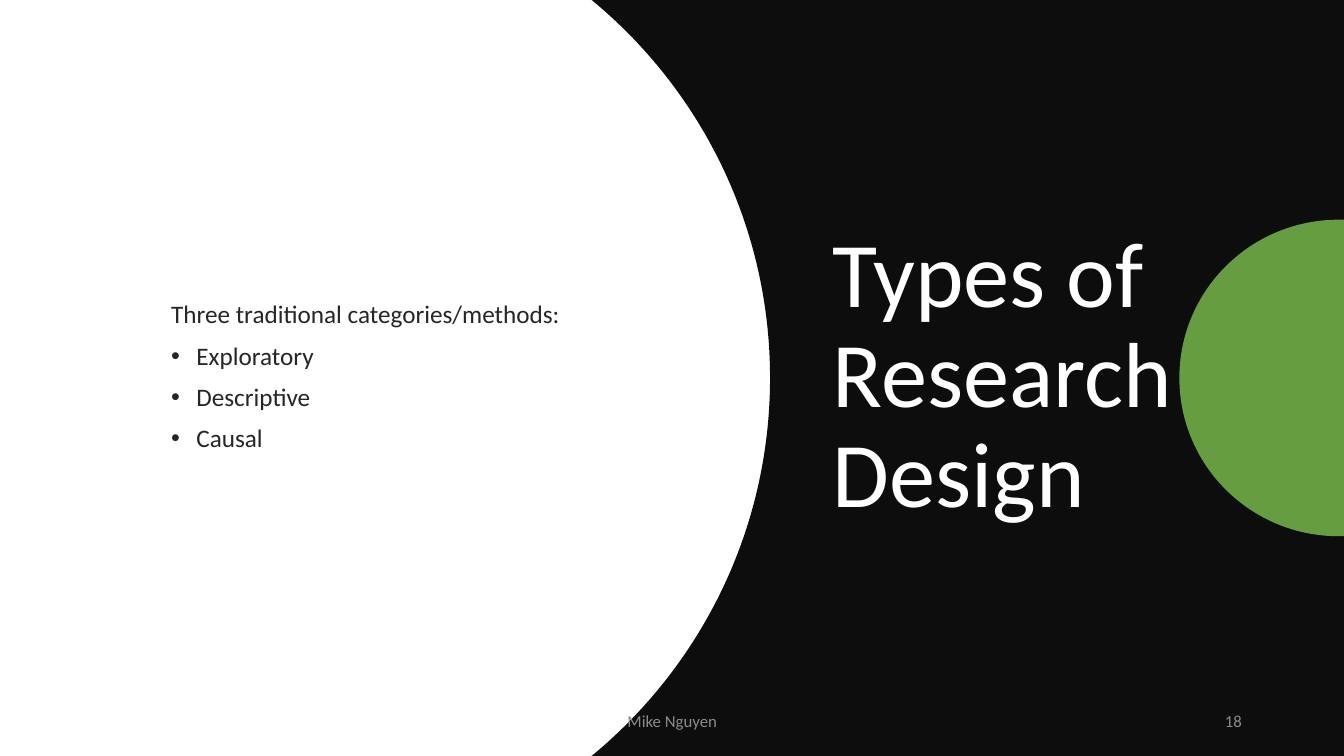
from dataclasses import dataclass

from lxml import etree
from pptx import Presentation
from pptx import util as u
from pptx.dml.color import RGBColor
from pptx.enum import text
from pptx.oxml.ns import qn

WHITE = RGBColor(0xFF, 0xFF, 0xFF)
BLACK = RGBColor(0x0D, 0x0D, 0x0D)
GREEN = RGBColor(0x70, 0xAD, 0x47)
DARK = RGBColor(0x26, 0x26, 0x26)
GREY = RGBColor(0x8C, 0x8C, 0x8C)
FONT = "Calibri"
W, H = 40 / 3, 7.5

Point = tuple[float, float]
Curve = tuple[Point, Point, Point]


@dataclass(frozen=True)
class Panel:
    corners: tuple[Point, ...]
    curves: tuple[Curve, ...]
    color: RGBColor
    opacity: int = 100


@dataclass(frozen=True)
class Line:
    text: str
    bullet: bool = False


@dataclass(frozen=True)
class Block:
    box: tuple[float, float, float, float]
    lines: tuple[Line, ...]
    size: int
    color: RGBColor
    align: text.PP_ALIGN = text.PP_ALIGN.LEFT
    spacing: float = 1.0
    before: int = 0


PANELS = (
    Panel(
        ((5.86, 0), (W, 0), (W, H), (5.86, H), (5.87, H)),
        (((6.95, 6.61), (7.64, 5.26), (7.64, 3.75)),
         ((7.64, 2.24), (6.95, 0.89), (5.87, 0))),
        BLACK,
    ),
    Panel(
        ((13.28, 2.18), (W, 2.18), (W, 5.32), (13.28, 5.32)),
        (((12.41, 5.32), (11.7, 4.62), (11.7, 3.75)),
         ((11.7, 2.88), (12.41, 2.18), (13.28, 2.18))),
        GREEN,
        90,
    ),
)
TITLE = Block((8.16, 1.19, 3.68, 5.11), (Line("Types of Research Design"),),
              66, WHITE, spacing=0.9)
METHODS = ("Exploratory", "Descriptive", "Causal")
BLOCKS = (
    Block((1.6, 1.64, 4.77, 4.21),
          (Line("Three traditional categories/methods:"),
           *(Line(method, True) for method in METHODS)),
          18, DARK, spacing=0.9, before=10),
    Block((4.42, 6.95, 4.5, 0.4), (Line("Mike Nguyen"),), 12, GREY,
          text.PP_ALIGN.CENTER),
    Block((9.42, 6.95, 3, 0.4), (Line("18"),), 12, GREY, text.PP_ALIGN.RIGHT),
)


def bend_edges(sp, curves: tuple[Curve, ...]) -> None:
    edges = list(sp.element.spPr.iter(qn("a:lnTo")))[-len(curves):]
    for edge, curve in zip(edges, curves):
        bezier = etree.Element(qn("a:cubicBezTo"))
        for x, y in curve:
            etree.SubElement(bezier, qn("a:pt"),
                             x=str(u.Inches(x) - sp.left),
                             y=str(u.Inches(y) - sp.top))
        edge.getparent().replace(edge, bezier)


def draw_panel(s, panel: Panel) -> None:
    points = panel.corners + tuple(curve[-1] for curve in panel.curves)
    outline = [(u.Inches(x), u.Inches(y)) for x, y in points]
    builder = s.shapes.build_freeform(*outline[0])
    builder.add_line_segments(outline[1:], close=True)
    sp = builder.convert_to_shape()
    bend_edges(sp, panel.curves)
    sp.shadow.inherit = False
    sp.fill.solid()
    sp.fill.fore_color.rgb = panel.color
    sp.line.fill.background()
    if panel.opacity < 100:
        color = sp.element.spPr.find(qn("a:solidFill")).find(qn("a:srgbClr"))
        etree.SubElement(color, qn("a:alpha"), val=str(panel.opacity * 1000))


def add_bullet(p) -> None:
    pPr = p._p.get_or_add_pPr()
    pPr.set("marL", str(u.Inches(0.25)))
    pPr.set("indent", str(u.Inches(-0.25)))
    etree.SubElement(pPr, qn("a:buFont"), typeface="Arial")
    etree.SubElement(pPr, qn("a:buChar"), char="•")


def write_block(sp, block: Block) -> None:
    sp.left, sp.top, sp.width, sp.height = map(u.Inches, block.box)
    tf = sp.text_frame
    tf.word_wrap = True
    tf.auto_size = text.MSO_AUTO_SIZE.NONE
    tf.vertical_anchor = text.MSO_ANCHOR.MIDDLE
    for i, line in enumerate(block.lines):
        p = tf.add_paragraph() if i else tf.paragraphs[0]
        p.alignment = block.align
        p.line_spacing = block.spacing
        p.space_before = u.Pt(block.before)
        if line.bullet:
            add_bullet(p)
        r = p.add_run()
        r.text = line.text
        r.font.name = FONT
        r.font.size = u.Pt(block.size)
        r.font.color.rgb = block.color


def main() -> None:
    prs = Presentation()
    prs.slide_width, prs.slide_height = u.Inches(W), u.Inches(H)
    s = prs.slides.add_slide(prs.slide_layouts[5])
    s.background.fill.solid()
    s.background.fill.fore_color.rgb = WHITE
    for panel in PANELS:
        draw_panel(s, panel)
    title = s.shapes.title
    title.element.getparent().append(title.element)
    write_block(title, TITLE)
    for block in BLOCKS:
        write_block(s.shapes.add_textbox(*map(u.Inches, block.box)), block)
    prs.save("out.pptx")


if __name__ == "__main__":
    main()
